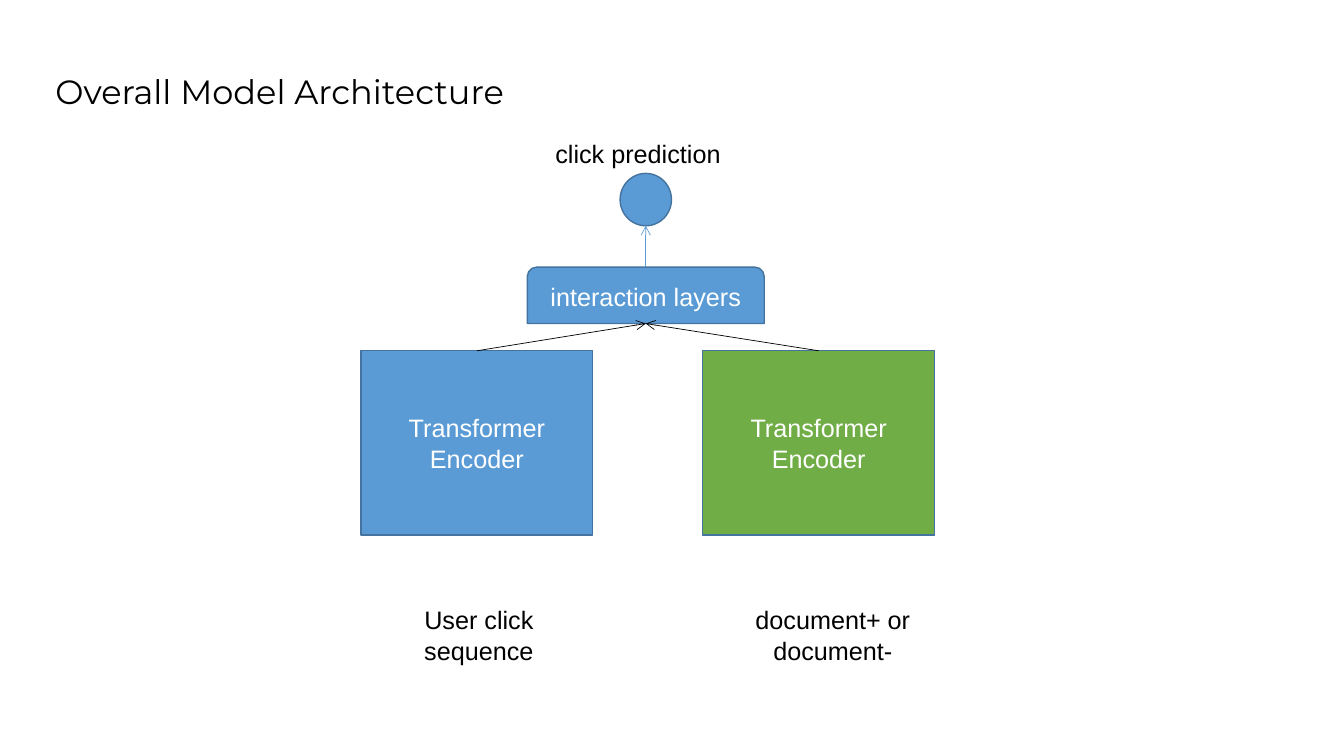
from lxml import etree
from pptx import Presentation
from pptx.dml.color import RGBColor
from pptx.enum.shapes import MSO_CONNECTOR, MSO_SHAPE
from pptx.enum.text import MSO_ANCHOR, MSO_AUTO_SIZE, PP_ALIGN
from pptx.oxml.ns import qn
from pptx.util import Inches, Pt

BLUE = RGBColor(0x5B, 0x9B, 0xD5)
GREEN = RGBColor(0x70, 0xAD, 0x47)
OUTLINE = RGBColor(0x43, 0x73, 0x9E)
BLACK = RGBColor(0, 0, 0)
WHITE = RGBColor(0xFF, 0xFF, 0xFF)

RECT = MSO_SHAPE.RECTANGLE
ROUND_TOP = MSO_SHAPE.ROUND_2_SAME_RECTANGLE
OVAL = MSO_SHAPE.OVAL
STRAIGHT = MSO_CONNECTOR.STRAIGHT
TOP, MIDDLE = MSO_ANCHOR.TOP, MSO_ANCHOR.MIDDLE
LEFT, CENTER = PP_ALIGN.LEFT, PP_ALIGN.CENTER
GROW = MSO_AUTO_SIZE.SHAPE_TO_FIT_TEXT
NO_FIT = MSO_AUTO_SIZE.NONE
TOP_SITE = 0


def write(tf, text, color, align=CENTER, font="Arial", size=18):
    tf.word_wrap = True
    p = tf.paragraphs[0]
    p.text = text
    p.alignment = align
    p.font.name = font
    p.font.size = Pt(size)
    p.font.color.rgb = color
    return p


def add_title(s, text, x, y, w, h):
    title = s.shapes.title
    title.left, title.top = Inches(x), Inches(y)
    title.width, title.height = Inches(w), Inches(h)
    tf = title.text_frame
    tf.auto_size = NO_FIT
    tf.vertical_anchor = TOP
    tf.margin_left = tf.margin_right = Inches(0.1)
    tf.margin_top = tf.margin_bottom = Inches(0.1)
    p = write(tf, text, BLACK, LEFT, "Montserrat", 24)
    p.line_spacing = 0.9


def add_block(s, kind, x, y, w, h, fill, text=""):
    sp = s.shapes.add_shape(kind, Inches(x), Inches(y), Inches(w), Inches(h))
    sp.shadow.inherit = False
    sp.fill.solid()
    sp.fill.fore_color.rgb = fill
    sp.line.color.rgb = OUTLINE
    sp.line.width = Pt(1)
    if text:
        sp.text_frame.vertical_anchor = MIDDLE
        write(sp.text_frame, text, WHITE)
    return sp


def add_label(s, text, x, y, w, h, align=CENTER):
    sp = s.shapes.add_textbox(Inches(x), Inches(y), Inches(w), Inches(h))
    sp.text_frame.auto_size = GROW
    write(sp.text_frame, text, BLACK, align)


def add_arrow(s, x1, y1, x2, y2, color):
    line = s.shapes.add_connector(
        STRAIGHT, Inches(x1), Inches(y1), Inches(x2), Inches(y2))
    line.line.color.rgb = color
    line.line.width = Pt(0.5)
    ln = line.line._get_or_add_ln()
    etree.SubElement(ln, qn("a:tailEnd"), type="arrow")
    etree.SubElement(line._element.spPr, qn("a:effectLst"))
    return line


def add_encoder(s, x, y, fill, target, caption, caption_x):
    """Encoder box with its input caption below and an arrow to target."""
    w, h = 2.3, 1.83
    box = add_block(s, RECT, x, y, w, h, fill, "Transformer Encoder")
    add_label(s, caption, caption_x, y + 2.47, 2.34, 0.71)
    arrow = add_arrow(s, x + w / 2, y, *target, BLACK)
    arrow.begin_connect(box, TOP_SITE)


def add_prediction(s, x, y, w):
    """Label, output node and interaction layers; returns the bottom centre."""
    center = x + w / 2
    node_y, node_w, node_h = y + 0.4, 0.51, 0.52
    layers_y, layers_h = y + 1.33, 0.56
    add_label(s, "click prediction", x + 0.18, y, 1.98, 0.4, LEFT)
    add_block(s, OVAL, center - node_w / 2, node_y, node_w, node_h, BLUE)
    add_block(s, ROUND_TOP, x, layers_y, w, layers_h, BLUE,
              "interaction layers")
    add_arrow(s, center, layers_y, center, node_y + node_h, BLUE)
    return center, layers_y + layers_h


def add_model(s, x, y):
    target = add_prediction(s, x + 1.65, y, 2.35)
    encoders = [
        (0, BLUE, "User click sequence", 0),
        (3.39, GREEN, "document+ or document-", 3.51),
    ]
    for dx, fill, caption, caption_dx in encoders:
        add_encoder(s, x + dx, y + 2.16, fill, target, caption,
                    x + caption_dx)


def main():
    prs = Presentation()
    prs.slide_width, prs.slide_height = Inches(13.33), Inches(7.5)
    s = prs.slides.add_slide(prs.slide_layouts[5])
    add_title(s, "Overall Model Architecture", 0.45, 0.65, 12.42, 0.84)
    add_model(s, 3.58, 1.32)
    prs.save("out.pptx")


if __name__ == "__main__":
    main()
